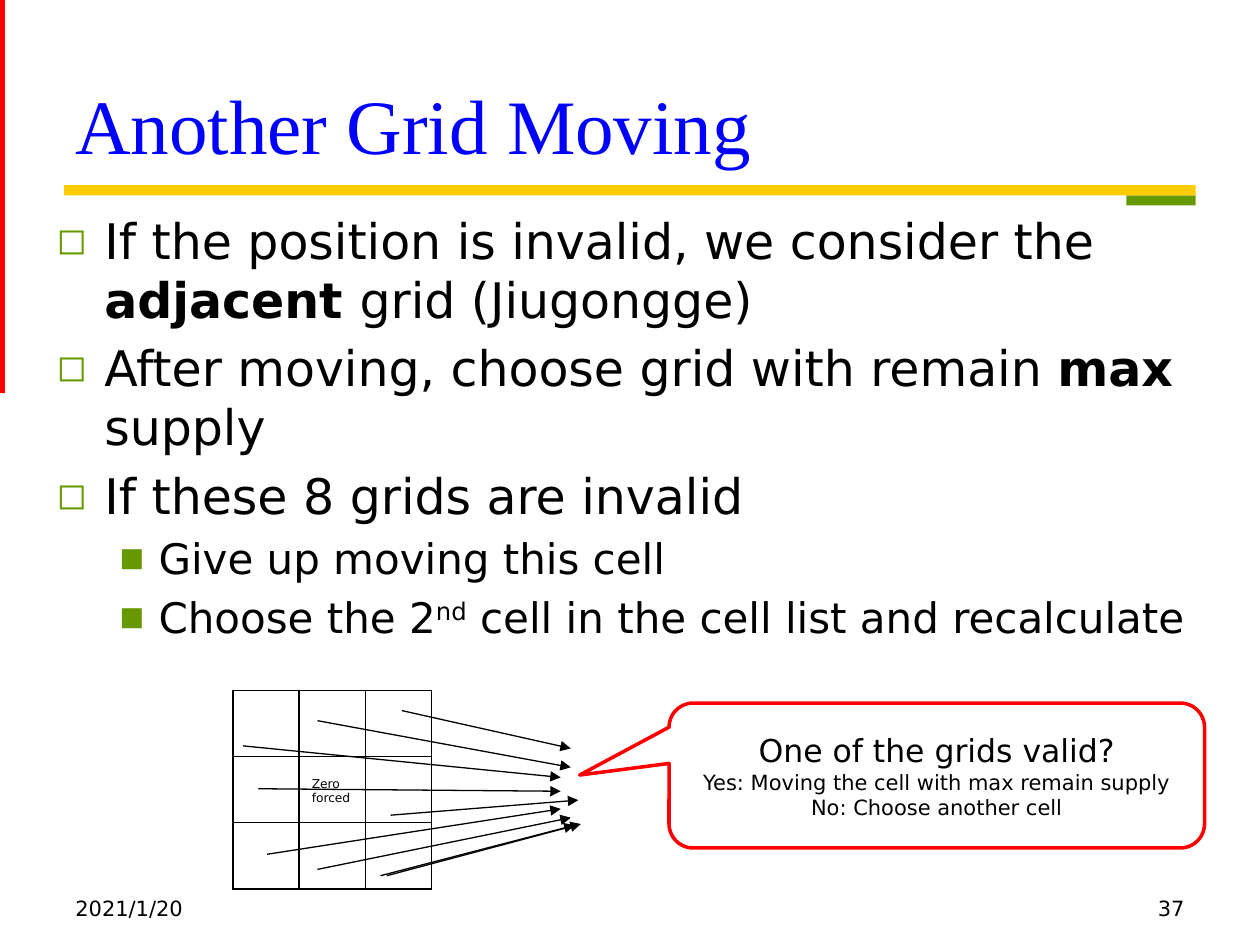
from lxml import etree
from pptx import Presentation
from pptx.dml.color import RGBColor
from pptx.enum import shapes, text
from pptx.oxml.ns import qn
from pptx.util import Inches, Pt

BLACK = RGBColor(0x00, 0x00, 0x00)
WHITE = RGBColor(0xFF, 0xFF, 0xFF)
BLUE = RGBColor(0x00, 0x00, 0xFF)
RED = RGBColor(0xFF, 0x00, 0x00)
GREEN = RGBColor(0x66, 0x99, 0x00)
YELLOW = RGBColor(0xFF, 0xCC, 0x00)
SANS, SERIF = "DejaVu Sans", "Times New Roman"

# Content: each paragraph is (level, runs), each run is (words, style)
TITLE = "Another Grid Moving"
BODY = [
    (0, [("If the position is invalid, we consider the ", ""), ("adjacent ", "bold"),
         ("grid (Jiugongge)", "")]),
    (0, [("After moving, choose grid with remain ", ""), ("max", "bold"), (" supply", "")]),
    (0, [("If these 8 grids are invalid", "")]),
    (1, [("Give up moving this cell", "")]),
    (1, [("Choose the 2", ""), ("nd", "super"),
         (" cell in the cell list and recalculate", "")]),
]
# Per level: size, left margin, hanging indent, bullet, bullet size in percent
LEVELS = [(28, 0.38, 0.38, "◻", 75), (24, 0.81, 0.31, "■", 62)]
CALLOUT = [("One of the grids valid?", 18),
           ("Yes: Moving the cell with max remain supply", 12),
           ("No: Choose another cell", 12)]
DATE, NUMBER = "2021/1/20", "37"
BARS = [(8.94, 1.55, 0.55, 0.08, GREEN), (0, 0, 0.04, 3.12, RED),
        (0.51, 1.47, 8.98, 0.08, YELLOW)]
ARROWS = [
    ((3.19, 5.64), (4.53, 5.94)), ((2.52, 5.72), (4.53, 6.09)),
    ((1.93, 5.92), (4.45, 6.17)), ((2.05, 6.26), (4.45, 6.28)),
    ((3.10, 6.47), (4.59, 6.35)), ((2.12, 6.78), (4.45, 6.42)),
    ((2.52, 6.90), (4.53, 6.49)), ((3.07, 6.95), (4.61, 6.54)),
    ((3.02, 6.95), (4.56, 6.55)),
]
GRID_LEFT, GRID_TOP, GRID_SIZE, GRID_COUNT = 1.85, 5.48, 1.575, 3


def add_run(paragraph, words, size=12, font=SANS, color=BLACK, style=""):
    run = paragraph.add_run()
    run.text = words
    run.font.size, run.font.name = Pt(size), font
    run.font.color.rgb = color
    run.font.bold = style == "bold"
    if style == "super":
        run.font._element.set("baseline", "30000")


def add_text_box(box, words="", align=text.PP_ALIGN.LEFT,
                 anchor=text.MSO_ANCHOR.TOP, spacing=1.0, **run_format):
    frame = slide.shapes.add_textbox(*map(Inches, box)).text_frame
    frame.word_wrap, frame.vertical_anchor = True, anchor
    paragraph = frame.paragraphs[0]
    paragraph.alignment, paragraph.line_spacing = align, spacing
    if words:
        add_run(paragraph, words, **run_format)
    return frame


def add_bullet(paragraph, level):
    size, margin, hanging, character, percent = LEVELS[level]
    paragraph.level = level
    paragraph.space_before = Pt(size * 0.2)
    properties = paragraph._p.get_or_add_pPr()
    properties.set("marL", str(Inches(margin)))
    properties.set("indent", str(-Inches(hanging)))
    color = etree.SubElement(properties, qn("a:buClr"))
    etree.SubElement(color, qn("a:srgbClr"), val=str(GREEN))
    etree.SubElement(properties, qn("a:buSzPct"), val=str(percent * 1000))
    etree.SubElement(properties, qn("a:buFont"), typeface=SANS)
    etree.SubElement(properties, qn("a:buChar"), char=character)


def add_borders(cell):
    properties = cell._tc.get_or_add_tcPr()
    for position, side in enumerate(("lnL", "lnR", "lnT", "lnB")):
        line = etree.Element(qn("a:" + side), w=str(Pt(1)))
        fill = etree.SubElement(line, qn("a:solidFill"))
        etree.SubElement(fill, qn("a:srgbClr"), val=str(BLACK))
        properties.insert(position, line)


def add_arrow(start, end):
    arrow = slide.shapes.add_connector(
        shapes.MSO_CONNECTOR.STRAIGHT, *map(Inches, start + end))
    arrow.line.color.rgb, arrow.line.width = BLACK, Pt(0.75)
    etree.SubElement(arrow.line._get_or_add_ln(), qn("a:tailEnd"), type="triangle")
    etree.SubElement(arrow._element.spPr, qn("a:effectLst"))


presentation = Presentation()
presentation.slide_width, presentation.slide_height = Inches(10), Inches(7.5)
slide = presentation.slides.add_slide(presentation.slide_layouts[6])

# Decorative bars
for *box, color in BARS:
    bar = slide.shapes.add_shape(shapes.MSO_SHAPE.RECTANGLE, *map(Inches, box))
    bar.shadow.inherit = False
    bar.fill.solid()
    bar.fill.fore_color.rgb = color
    bar.line.fill.background()

# Title, date and slide number
add_text_box((0.5, 0.14, 9, 1.25), TITLE, anchor=text.MSO_ANCHOR.BOTTOM,
             spacing=0.8, size=44, font=SERIF, color=BLUE)
add_text_box((0.5, 7.06, 2.33, 0.28), DATE)
add_text_box((7.17, 7.06, 2.33, 0.28), NUMBER, align=text.PP_ALIGN.RIGHT)

# Bulleted body
body = add_text_box((0.35, 1.62, 9.45, 4.95))
for index, (level, runs) in enumerate(BODY):
    paragraph = body.add_paragraph() if index else body.paragraphs[0]
    add_bullet(paragraph, level)
    for words, style in runs:
        add_run(paragraph, words, size=LEVELS[level][0], style=style)

# Nine-cell grid
table = slide.shapes.add_table(
    GRID_COUNT, GRID_COUNT, Inches(GRID_LEFT), Inches(GRID_TOP),
    Inches(GRID_SIZE), Inches(GRID_SIZE)).table
for cell in table.iter_cells():
    cell.fill.solid()
    cell.fill.fore_color.rgb = WHITE
    add_borders(cell)
center = table.cell(1, 1)
center.margin_top = Inches(0.16)
add_run(center.text_frame.paragraphs[0], "Zero forced", size=7)

# Arrows from the grid cells
for start, end in ARROWS:
    add_arrow(start, end)

# Callout
callout = slide.shapes.add_shape(
    shapes.MSO_SHAPE.ROUNDED_RECTANGULAR_CALLOUT,
    *map(Inches, (5.31, 5.58, 4.25, 1.15)))
callout.shadow.inherit = False
callout.fill.background()
callout.line.color.rgb, callout.line.width = RED, Pt(2)
for index, value in enumerate((-0.667, -0.003, 0.167)):
    callout.adjustments[index] = value
frame = callout.text_frame
frame.word_wrap, frame.vertical_anchor = True, text.MSO_ANCHOR.MIDDLE
for index, (words, size) in enumerate(CALLOUT):
    paragraph = frame.add_paragraph() if index else frame.paragraphs[0]
    paragraph.alignment = text.PP_ALIGN.CENTER
    add_run(paragraph, words, size=size)

presentation.save("out.pptx")
